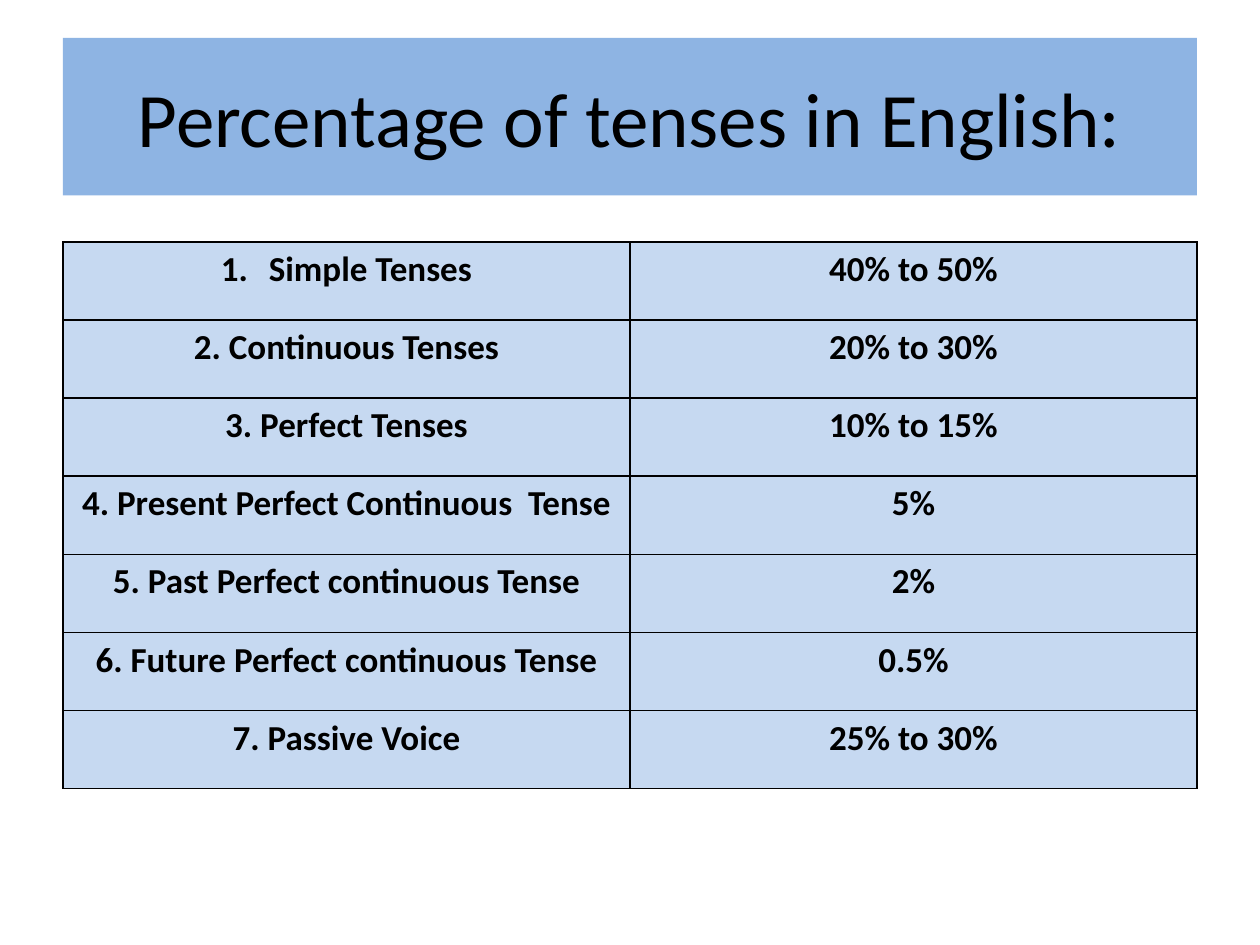
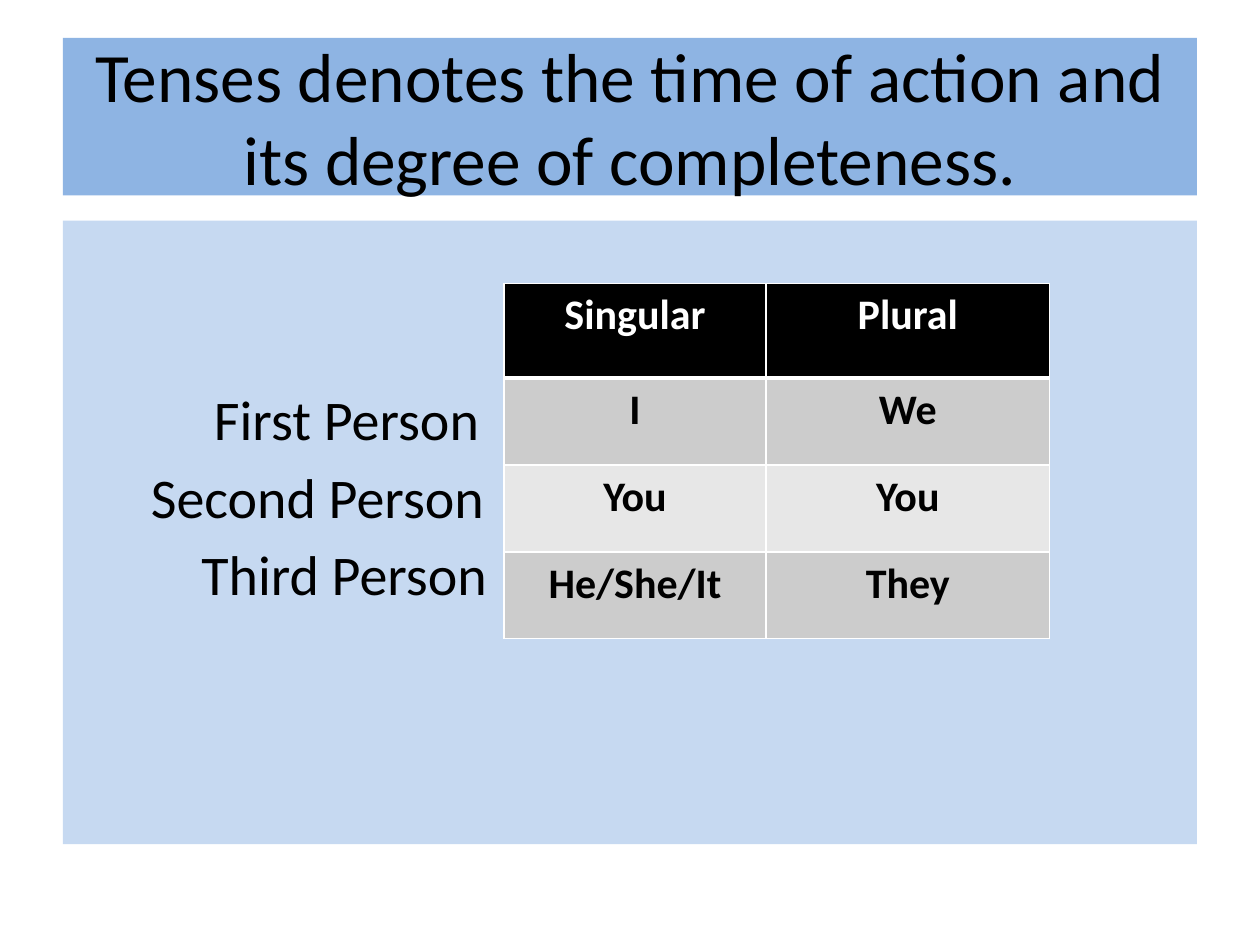
from lxml import etree
from pptx import Presentation
from pptx import util as u
from pptx.dml.color import RGBColor
from pptx.enum import shapes, text
from pptx.oxml import ns

COLORS = {
    "band": "8EB4E3",
    "panel": "C6D9F1",
    "ink": "000000",
    "paper": "FFFFFF",
    "stripe_dark": "CCCCCC",
    "stripe_light": "E7E7E7",
}
FONT = "Calibri"
LEFT, WIDTH = 0.5, 9
LIST_INDENT = 0.38


def rgb(name):
    return RGBColor.from_string(COLORS[name])


class Deck:
    """Holds the shared style and the current slide."""

    def __init__(self):
        self.presentation = Presentation()
        self.presentation.slide_width = u.Inches(10)
        self.presentation.slide_height = u.Inches(7.5)
        self.slide = None

    def add_slide(self, title, title_size):
        layout = self.presentation.slide_layouts[6]
        self.slide = self.presentation.slides.add_slide(layout)
        band = self.panel(0.3, 1.25, "band")
        band.text_frame.vertical_anchor = text.MSO_ANCHOR.MIDDLE
        self.add_text(band.text_frame.paragraphs[0], title, title_size)

    def panel(self, top, height, fill):
        """A full-width flat rectangle."""
        shape = self.slide.shapes.add_shape(
            shapes.MSO_SHAPE.RECTANGLE, u.Inches(LEFT), u.Inches(top),
            u.Inches(WIDTH), u.Inches(height))
        shape.shadow.inherit = False
        shape.fill.solid()
        shape.fill.fore_color.rgb = rgb(fill)
        shape.line.fill.background()
        shape.text_frame.word_wrap = True
        return shape

    def add_text(self, paragraph, words, size, color="ink", bold=False,
                 align=text.PP_ALIGN.CENTER):
        paragraph.alignment = align
        run = paragraph.add_run()
        run.text = words
        run.font.name = FONT
        run.font.size = u.Pt(size)
        run.font.bold = bold
        run.font.color.rgb = rgb(color)

    def indented_lines(self, shape, lines, size, first_top):
        """Left-aligned lines, each given with its own indent in inches."""
        frame = shape.text_frame
        frame.vertical_anchor = text.MSO_ANCHOR.TOP
        frame.margin_top = u.Inches(first_top)
        for index, (words, indent) in enumerate(lines):
            paragraph = frame.add_paragraph() if index else frame.paragraphs[0]
            if index:
                paragraph.space_before = u.Pt(6)
            paragraph._p.get_or_add_pPr().set("marL", str(u.Inches(indent)))
            self.add_text(paragraph, words, size, align=text.PP_ALIGN.LEFT)

    def number(self, paragraph):
        """Turn a paragraph into an automatically numbered item."""
        properties = paragraph._p.get_or_add_pPr()
        properties.set("marL", str(u.Inches(LIST_INDENT)))
        properties.set("indent", str(-u.Inches(LIST_INDENT)))
        etree.SubElement(properties, ns.qn("a:buFont"), typeface="+mj-lt")
        etree.SubElement(properties, ns.qn("a:buAutoNum"), type="arabicPeriod")

    def borders(self, cell, color, top=1, bottom=1):
        properties = cell._tc.get_or_add_tcPr()
        widths = {"lnL": 1, "lnR": 1, "lnT": top, "lnB": bottom}
        for index, (side, width) in enumerate(widths.items()):
            line = etree.Element(ns.qn(f"a:{side}"), w=str(u.Pt(width)))
            fill = etree.SubElement(line, ns.qn("a:solidFill"))
            etree.SubElement(fill, ns.qn("a:srgbClr"), val=COLORS[color])
            properties.insert(index, line)

    def table(self, left, top, widths, heights, rows, size, fills, border,
              header=False):
        """Bold centred table; fills names one colour per row."""
        table = self.slide.shapes.add_table(
            len(rows), len(widths), u.Inches(left), u.Inches(top),
            u.Inches(sum(widths)), u.Inches(sum(heights))).table
        table.first_row = header
        table.horz_banding = False
        for column, width in zip(table.columns, widths):
            column.width = u.Inches(width)
        for index, (row, height) in enumerate(zip(table.rows, heights)):
            row.height = u.Inches(height)
            is_header = header and index == 0
            for cell, words in zip(row.cells, rows[index]):
                cell.fill.solid()
                cell.fill.fore_color.rgb = rgb(fills[index])
                self.borders(cell, border,
                             top=3 if header and index == 1 else 1,
                             bottom=3 if is_header else 1)
                self.add_text(cell.text_frame.paragraphs[0], words, size,
                              "paper" if is_header else "ink", bold=True)
        return table


def main():
    deck = Deck()

    # Slide 1: share of each tense
    deck.add_slide("Percentage of tenses in English:", 44)
    shares = [
        ("Simple Tenses", "40% to 50%"),
        ("2. Continuous Tenses", "20% to 30%"),
        ("3. Perfect Tenses", "10% to 15%"),
        ("4. Present Perfect Continuous  Tense", "5%"),
        ("5. Past Perfect continuous Tense", "2%"),
        ("6. Future Perfect continuous Tense", "0.5%"),
        ("7. Passive Voice", "25% to 30%"),
    ]
    count = len(shares)
    share_table = deck.table(LEFT, 1.92, [WIDTH / 2] * 2, [0.62] * count,
                             shares, 20, ["panel"] * count, "ink")
    deck.number(share_table.cell(0, 0).text_frame.paragraphs[0])

    # Slide 2: pronouns by person
    deck.add_slide("Tenses denotes the time of action and its degree of "
                   "completeness.", 39.6)
    body = deck.panel(1.75, 4.95, "panel")
    persons = [("First Person", 1.1), ("Second Person", 0.6),
               ("Third Person", 1.0)]
    deck.indented_lines(body, persons, 32, first_top=1.3)
    pronouns = [("Singular", "Plural"), ("I", "We"), ("You", "You"),
                ("He/She/It", "They")]
    deck.table(4, 2.25, [2.08, 2.25], [0.75] + [0.69] * 3, pronouns, 24,
               ["ink", "stripe_dark", "stripe_light", "stripe_dark"],
               "paper", header=True)

    deck.presentation.save("out.pptx")


if __name__ == "__main__":
    main()
